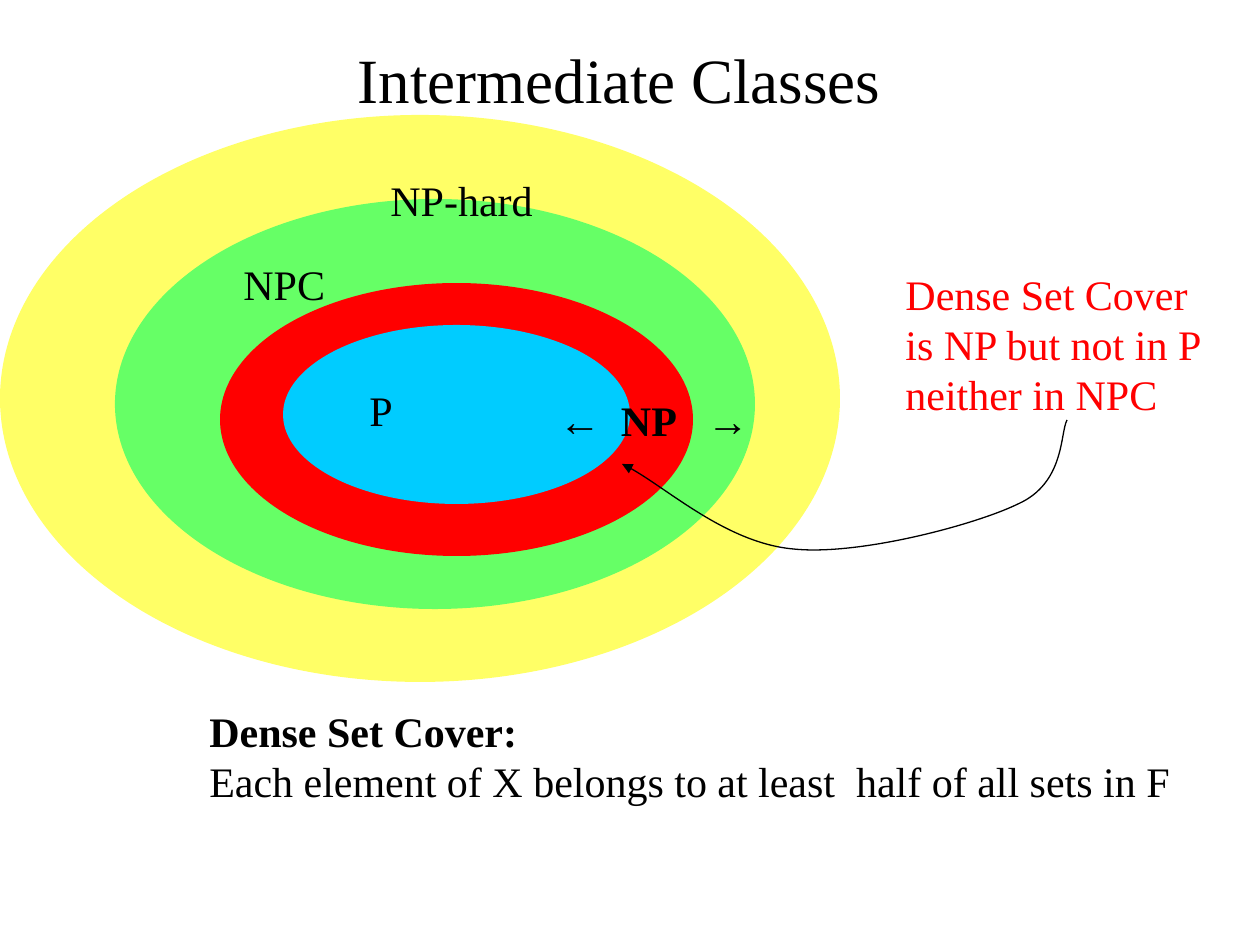
from lxml import etree
from pptx import Presentation
from pptx.dml.color import RGBColor
from pptx.enum.shapes import MSO_SHAPE
from pptx.enum.text import MSO_ANCHOR, PP_ALIGN
from pptx.oxml.ns import qn
from pptx.util import Pt

EMU_PER_PX = 914400 / 126
OVAL = MSO_SHAPE.OVAL
MIDDLE = MSO_ANCHOR.MIDDLE
CENTER = PP_ALIGN.CENTER
TITLE_ONLY = 5
SERIF = "Times New Roman"
SANS = "Arial"
BLACK = "000000"
RED = "FF0000"

CLASS_ELLIPSES = [
    ((0, 115, 840, 567), "FFFF66"),
    ((115, 199, 640, 410), "66FF66"),
    ((220, 283, 473, 273), RED),
    ((283, 325, 347, 179), "00CCFF"),
]
CLASS_LABELS = [
    ("NPC", (231, 252, 116, 63)),
    ("NP-hard", (378, 168, 210, 63)),
    ("P", (357, 378, 53, 63)),
]
CURVE_POINTS = [
    (1067, 420), (1060, 433), (1065, 483), (1018, 504), (975, 525),
    (858, 556), (793, 549), (727, 543), (659, 481), (622, 464),
]


def px(length):
    return round(length * EMU_PER_PX)


def color(hex_code):
    return RGBColor.from_string(hex_code)


def add_span(para, text, size=24, font=SERIF, fill=BLACK, bold=False):
    span = para.add_run()
    span.text = text
    span.font.size = Pt(size)
    span.font.name = font
    span.font.bold = bold
    span.font.color.rgb = color(fill)


def add_box(shapes, place, wrap=True):
    box = shapes.add_textbox(*map(px, place))
    box.text_frame.word_wrap = wrap
    return box.text_frame


def add_lines(shapes, place, lines, wrap=True):
    frame = add_box(shapes, place, wrap)
    for index, (text, style) in enumerate(lines):
        para = frame.add_paragraph() if index else frame.paragraphs[0]
        add_span(para, text, **style)


def add_ellipse(shapes, place, fill):
    ellipse = shapes.add_shape(OVAL, *map(px, place))
    ellipse.shadow.inherit = False
    ellipse.fill.solid()
    ellipse.fill.fore_color.rgb = color(fill)
    ellipse.line.fill.background()


def add_np_range(shapes):
    frame = add_box(shapes, (514, 388, 252, 63))
    frame.margin_left = px(45)
    frame.margin_right = 0
    para = frame.paragraphs[0]
    tabs = etree.SubElement(para._p.get_or_add_pPr(), qn("a:tabLst"))
    for stop in (62, 148):
        etree.SubElement(tabs, qn("a:tab"), pos=str(px(stop)), algn="l")
    for text, font in (("←", SANS), ("\tNP\t", SERIF), ("→", SANS)):
        add_span(para, text, font=font, bold=True)


def add_curved_arrow(shapes, points):
    builder = shapes.build_freeform(*points[0], scale=EMU_PER_PX)
    builder.add_line_segments(points[1:], close=False)
    arrow = builder.convert_to_shape()
    arrow.shadow.inherit = False
    arrow.fill.background()
    arrow.line.color.rgb = color(BLACK)
    arrow.line.width = Pt(0.75)
    outline = next(arrow._element.iter(qn("a:path")))
    segments = outline.findall(qn("a:lnTo"))
    for start in range(0, len(segments), 3):
        curve = etree.SubElement(outline, qn("a:cubicBezTo"))
        for segment in segments[start:start + 3]:
            curve.append(segment[0])
            outline.remove(segment)
    etree.SubElement(arrow.line._get_or_add_ln(), qn("a:tailEnd"), type="triangle")


def set_title(page, text):
    title = page.shapes.title
    title.left, title.top, title.width, title.height = map(px, (84, 42, 1071, 73))
    title.text_frame.vertical_anchor = MIDDLE
    para = title.text_frame.paragraphs[0]
    para.alignment = CENTER
    add_span(para, text, size=36)


def main():
    deck = Presentation()
    deck.slide_width, deck.slide_height = px(1260), px(945)
    page = deck.slides.add_slide(deck.slide_layouts[TITLE_ONLY])
    set_title(page, "Intermediate Classes")

    diagram = page.shapes.add_group_shape().shapes
    for place, fill in CLASS_ELLIPSES:
        add_ellipse(diagram, place, fill)
    for text, place in CLASS_LABELS:
        add_lines(diagram, place, [(text, {})])
    add_np_range(diagram)

    claim = ["Dense Set Cover", "is NP but not in P", "neither in NPC"]
    add_lines(page.shapes, (893, 262, 333, 164),
              [(text, {"fill": RED}) for text in claim], wrap=False)
    add_curved_arrow(page.shapes, CURVE_POINTS)
    add_lines(page.shapes, (197, 699, 997, 113), [
        ("Dense Set Cover:", {"bold": True}),
        ("Each element of X belongs to at least  half of all sets in F", {}),
    ], wrap=False)
    deck.save("out.pptx")


if __name__ == "__main__":
    main()
